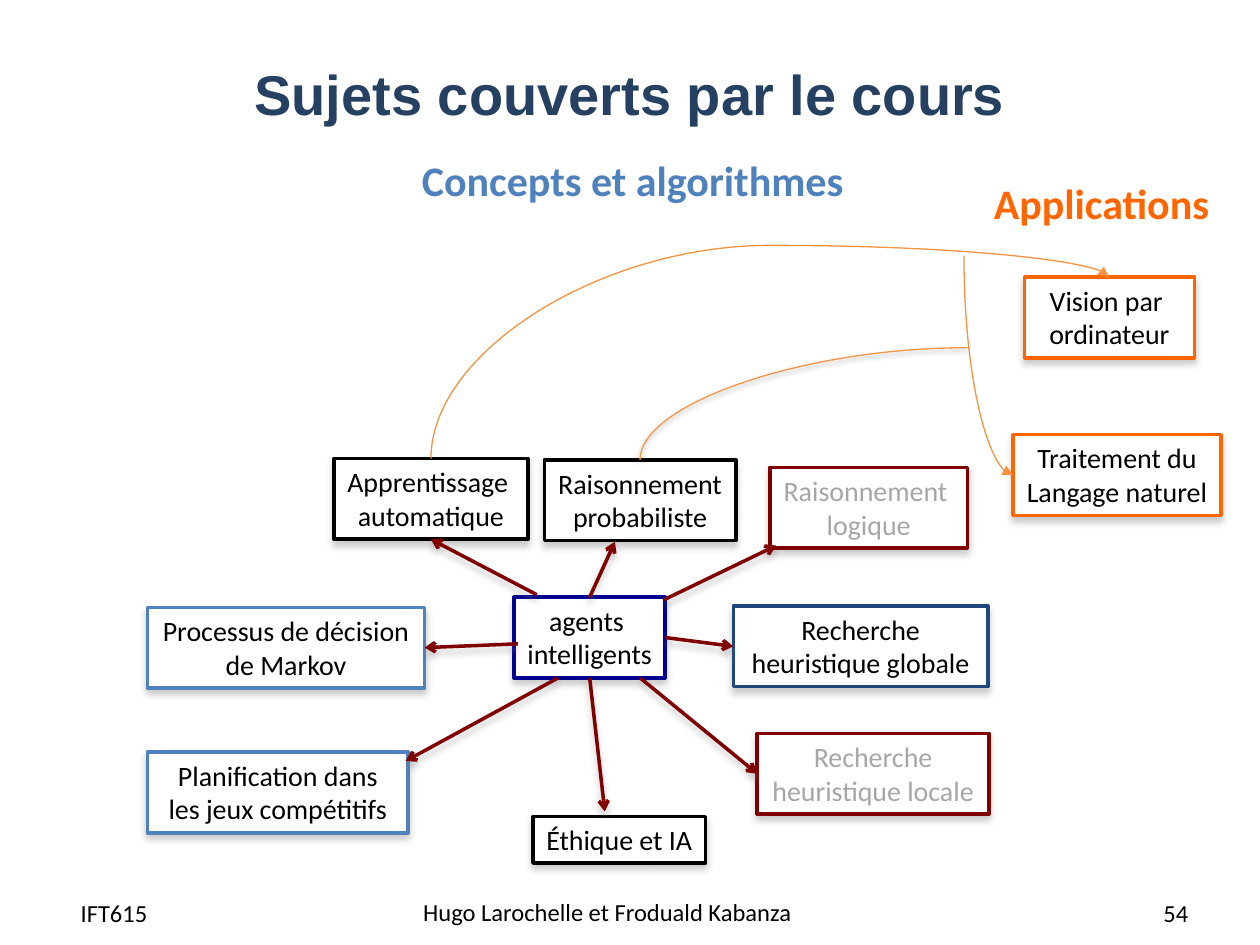
"""Build the slide that maps the course topics around intelligent agents."""
from dataclasses import dataclass
from typing import Optional

import lxml.etree
import pptx
import pptx.dml.color
import pptx.enum.shapes
import pptx.enum.text
import pptx.oxml.ns
import pptx.util

Inches = pptx.util.Inches
Pt = pptx.util.Pt
RGBColor = pptx.dml.color.RGBColor
ALIGN = pptx.enum.text.PP_ALIGN
ANCHOR = pptx.enum.text.MSO_ANCHOR
AUTO_SIZE = pptx.enum.text.MSO_AUTO_SIZE
CONNECTOR = pptx.enum.shapes.MSO_CONNECTOR
qn = pptx.oxml.ns.qn

BLACK = RGBColor(0x00, 0x00, 0x00)
WHITE = RGBColor(0xFF, 0xFF, 0xFF)
GREY = RGBColor(0xA6, 0xA6, 0xA6)
SHADOW_GREY = RGBColor(0x80, 0x80, 0x80)
TITLE_NAVY = RGBColor(0x25, 0x40, 0x61)
AGENT_BLUE = RGBColor(0x00, 0x00, 0x90)
DARK_BLUE = RGBColor(0x1F, 0x49, 0x7D)
BLUE = RGBColor(0x4F, 0x81, 0xBD)
MAROON = RGBColor(0x80, 0x00, 0x00)
ORANGE = RGBColor(0xFF, 0x66, 0x00)
CURVE_ORANGE = RGBColor(0xF6, 0x92, 0x40)
LINK_ORANGE = RGBColor(0xF7, 0x96, 0x46)

TOP, LEFT, BOTTOM, RIGHT = range(4)


@dataclass(frozen=True)
class Shadow:
    color: RGBColor
    alpha: int
    blur: float
    distance: float


@dataclass(frozen=True)
class Topic:
    text: str
    left: float
    top: float
    width: float
    outline: RGBColor
    height: float = 0.64
    color: RGBColor = BLACK
    wrap: bool = False


@dataclass(frozen=True)
class Spoke:
    topic: str
    start: tuple[float, float]
    end: tuple[float, float]
    start_side: Optional[int] = None
    end_side: Optional[int] = None


@dataclass(frozen=True)
class Curve:
    start: tuple[float, float]
    end: tuple[float, float]
    preset: str
    rotation: int
    flip_v: bool
    color: RGBColor = CURVE_ORANGE
    head: Optional[str] = "triangle"
    shadow: Optional[Shadow] = None
    bend: Optional[int] = None


@dataclass(frozen=True)
class Label:
    text: str
    box: tuple[float, float, float, float]
    size: int = 14
    color: RGBColor = BLACK
    bold: bool = False
    align: ALIGN = ALIGN.LEFT
    anchor: ANCHOR = ANCHOR.MIDDLE
    wrap: bool = True


SOFT = Shadow(SHADOW_GREY, 40, 4, 3)
LINK_SHADOW = Shadow(BLACK, 38, 3.1, 1.6)

TOPICS = {
    "agents": Topic("agents \nintelligents", 4.08, 4.74, 1.2, AGENT_BLUE),
    "logic": Topic("Raisonnement \nlogique", 6.11, 3.71, 1.57, MAROON, color=GREY),
    "learning": Topic("Apprentissage \nautomatique", 2.65, 3.64, 1.54, BLACK),
    "markov": Topic("Processus de décision \nde Markov", 1.17, 4.82, 2.2, BLUE, wrap=True),
    "games": Topic("Planification dans les jeux compétitifs", 1.17, 5.97, 2.07, BLUE, wrap=True),
    "local": Topic("Recherche heuristique locale", 6.01, 5.82, 1.84, MAROON, color=GREY, wrap=True),
    "global": Topic("Recherche heuristique globale", 5.82, 4.81, 2.02, DARK_BLUE, wrap=True),
    "ethics": Topic("Éthique et IA", 4.23, 6.48, 1.37, BLACK, height=0.37),
    "probability": Topic("Raisonnement\nprobabiliste", 4.32, 3.65, 1.52, BLACK),
    "vision": Topic("Vision par \nordinateur", 8.13, 2.2, 1.35, ORANGE, wrap=True),
    "language": Topic("Traitement du\nLangage naturel", 8.04, 3.45, 1.65, ORANGE),
}

SPOKES = [
    Spoke("probability", (4.68, 4.74), (4.88, 4.3), start_side=TOP),
    Spoke("learning", (4.26, 4.72), (3.42, 4.28), end_side=BOTTOM),
    Spoke("global", (5.28, 5.06), (5.82, 5.13), RIGHT, LEFT),
    Spoke("local", (5.08, 5.38), (6.01, 6.14), end_side=LEFT),
    Spoke("ethics", (4.68, 5.38), (4.8, 6.44), start_side=BOTTOM),
    Spoke("markov", (4.11, 5.11), (3.37, 5.14), end_side=RIGHT),
    Spoke("games", (4.43, 5.38), (3.22, 6.04)),
    Spoke("logic", (5.27, 4.76), (6.16, 4.33)),
]

CURVES = [
    Curve((3.42, 3.64), (8.8, 2.2), "curvedConnector3", 90, True, bend=117500),
    Curve((7.65, 2.03), (8.04, 3.77), "curvedConnector2", 270, False),
    Curve((5.08, 3.65), (7.68, 2.76), "curvedConnector2", 90, True,
          color=LINK_ORANGE, head=None, shadow=LINK_SHADOW),
]

LABELS = [
    Label("Hugo Larochelle et Froduald Kabanza", (3.26, 7.08, 3.48, 0.31)),
    Label("IFT615", (0.47, 7.09, 0.87, 0.31), align=ALIGN.CENTER),
    Label("54", (9.07, 7.04, 0.46, 0.4), align=ALIGN.RIGHT),
    Label("Applications", (7.79, 1.36, 1.93, 0.5), 24, ORANGE, True, anchor=ANCHOR.TOP, wrap=False),
    Label("Concepts et algorithmes", (3.25, 1.18, 3.58, 0.5), 24, BLUE, True,
          anchor=ANCHOR.TOP, wrap=False),
]


def write_text(shape, text: str, *, size: int, color: RGBColor, font: str = "Calibri",
               bold: bool = False, align=ALIGN.CENTER, anchor=ANCHOR.TOP,
               wrap: bool = True, auto_size=AUTO_SIZE.NONE) -> None:
    frame = shape.text_frame
    frame.text = text
    frame.word_wrap = wrap
    frame.auto_size = auto_size
    frame.vertical_anchor = anchor
    for paragraph in frame.paragraphs:
        paragraph.alignment = align
        for run in paragraph.runs:
            run.font.name, run.font.size, run.font.bold = font, Pt(size), bold
            run.font.color.rgb = color


def set_shadow(shape, shadow: Optional[Shadow]) -> None:
    effects = lxml.etree.SubElement(shape._element.spPr, qn("a:effectLst"))
    if shadow:
        outer = lxml.etree.SubElement(
            effects, qn("a:outerShdw"), blurRad=str(Pt(shadow.blur)),
            dist=str(Pt(shadow.distance)), dir="5400000", rotWithShape="0")
        tint = lxml.etree.SubElement(outer, qn("a:srgbClr"), val=str(shadow.color))
        lxml.etree.SubElement(tint, qn("a:alpha"), val=str(shadow.alpha * 1000))


def style_connector(connector, color: RGBColor, width: float, head: Optional[str],
                    shadow: Optional[Shadow]) -> None:
    connector.line.color.rgb = color
    connector.line.width = Pt(width)
    if head:
        outline = connector._element.spPr.find(qn("a:ln"))
        lxml.etree.SubElement(outline, qn("a:tailEnd"), type=head)
    set_shadow(connector, shadow)


def draw_topic(slide, topic: Topic):
    box = slide.shapes.add_shape(
        pptx.enum.shapes.MSO_SHAPE.RECTANGLE, Inches(topic.left), Inches(topic.top),
        Inches(topic.width), Inches(topic.height))
    box.fill.solid()
    box.fill.fore_color.rgb = WHITE
    box.line.color.rgb = topic.outline
    box.line.width = Pt(2)
    set_shadow(box, SOFT)
    write_text(box, topic.text, size=16, color=topic.color, wrap=topic.wrap,
               auto_size=AUTO_SIZE.SHAPE_TO_FIT_TEXT)
    return box


def draw_spoke(slide, spoke: Spoke, boxes: dict) -> None:
    arrow = slide.shapes.add_connector(
        CONNECTOR.STRAIGHT, *map(Inches, spoke.start + spoke.end))
    if spoke.start_side is not None:
        arrow.begin_connect(boxes["agents"], spoke.start_side)
    if spoke.end_side is not None:
        arrow.end_connect(boxes[spoke.topic], spoke.end_side)
    style_connector(arrow, MAROON, 2, "arrow", SOFT)


def draw_curve(slide, curve: Curve) -> None:
    (x1, y1), (x2, y2) = curve.start, curve.end
    width, height = abs(y2 - y1), abs(x2 - x1)
    left, top = (x1 + x2 - width) / 2, (y1 + y2 - height) / 2
    link = slide.shapes.add_connector(
        CONNECTOR.CURVE, *map(Inches, (left, top, left + width, top + height)))
    frame = link._element.spPr.find(qn("a:xfrm"))
    frame.set("rot", str(curve.rotation * 60000))
    frame.set("flipH", "1")
    frame.set("flipV", str(int(curve.flip_v)))
    geometry = link._element.spPr.find(qn("a:prstGeom"))
    geometry.set("prst", curve.preset)
    if curve.bend:
        lxml.etree.SubElement(geometry.find(qn("a:avLst")), qn("a:gd"),
                              name="adj1", fmla=f"val {curve.bend}")
    style_connector(link, curve.color, 0.75, curve.head, curve.shadow)


def draw_label(slide, label: Label) -> None:
    write_text(slide.shapes.add_textbox(*map(Inches, label.box)), label.text,
               size=label.size, color=label.color, bold=label.bold,
               align=label.align, anchor=label.anchor, wrap=label.wrap)


def main() -> None:
    deck = pptx.Presentation()
    deck.slide_width, deck.slide_height = Inches(10), Inches(7.5)
    slide = deck.slides.add_slide(deck.slide_layouts[5])
    title = slide.shapes.title
    title.left, title.top, title.width, title.height = map(Inches, (0.5, 0.3, 9, 0.88))
    write_text(title, "Sujets couverts par le cours", size=32, color=TITLE_NAVY,
               font="Arial", bold=True, anchor=ANCHOR.MIDDLE)
    for label in LABELS:
        draw_label(slide, label)
    boxes = {name: draw_topic(slide, topic) for name, topic in TOPICS.items()}
    for spoke in SPOKES:
        draw_spoke(slide, spoke, boxes)
    for curve in CURVES:
        draw_curve(slide, curve)
    deck.save("out.pptx")


if __name__ == "__main__":
    main()
